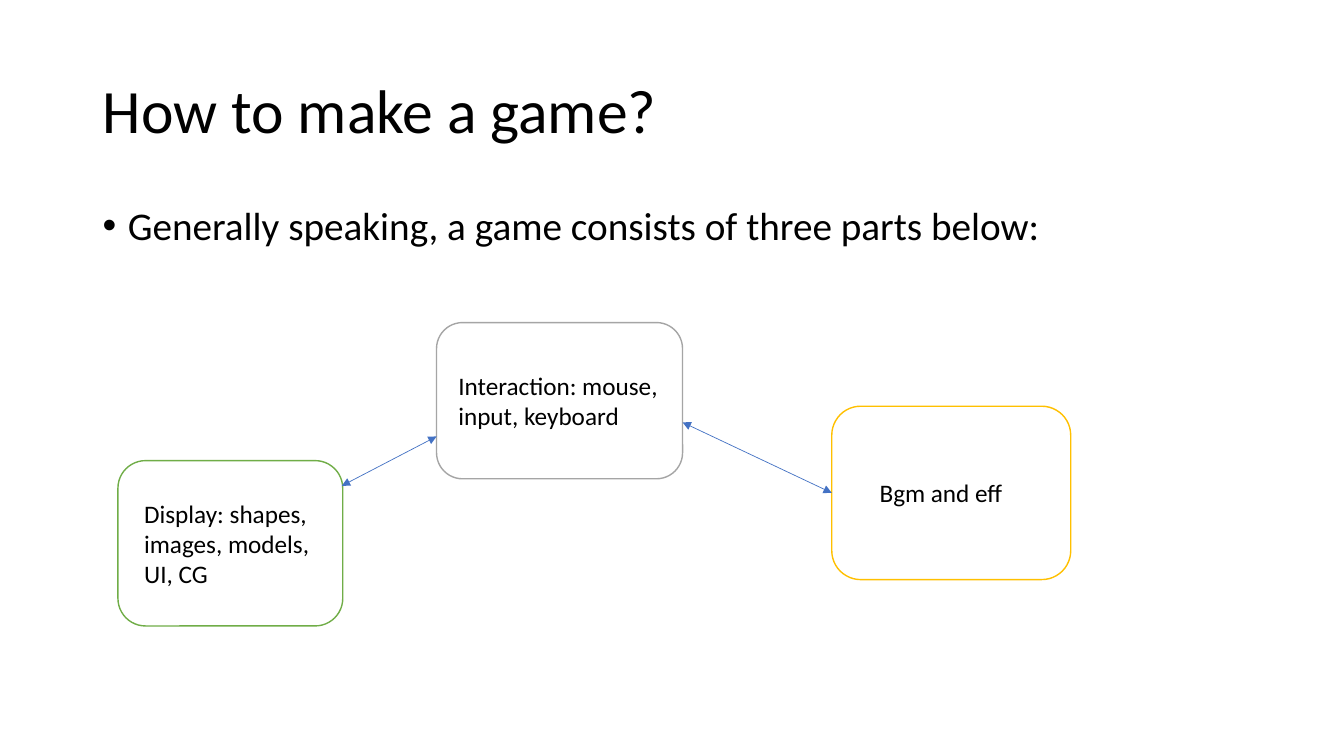
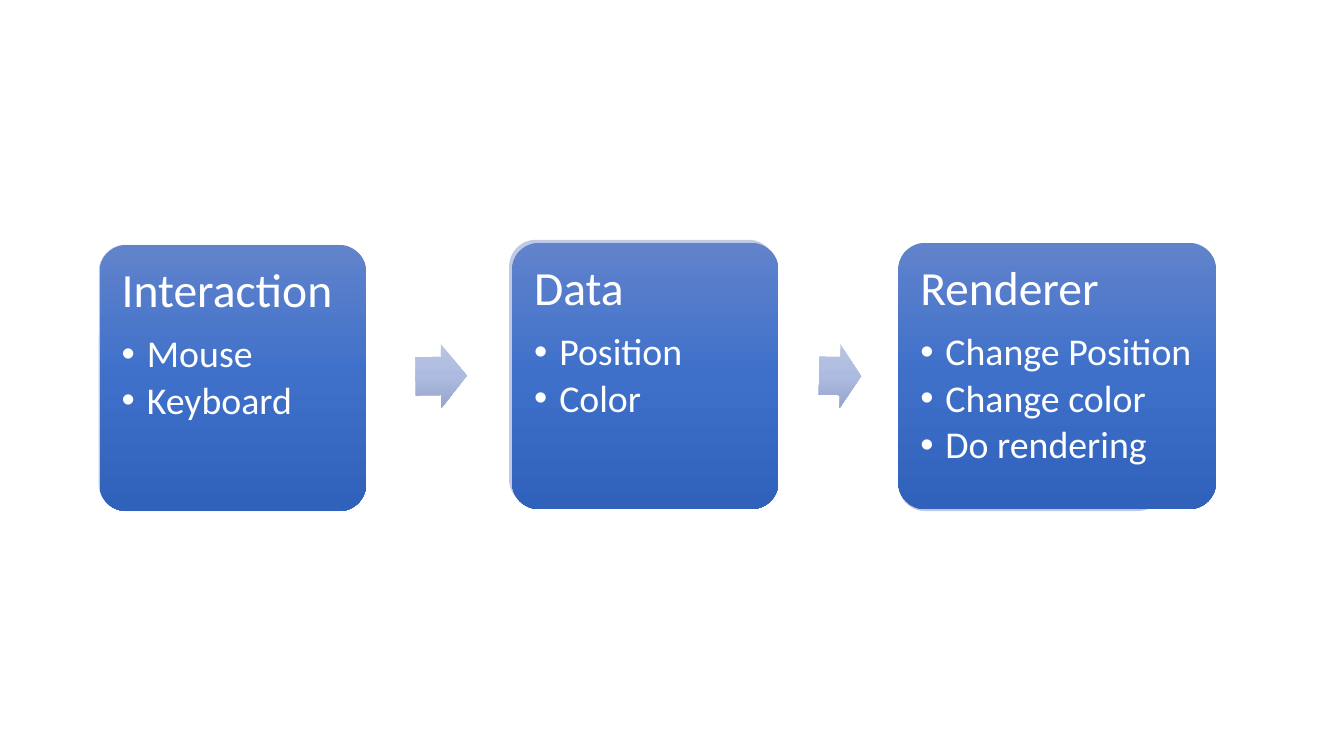
from lxml import etree
from pptx import Presentation
from pptx.dml.color import RGBColor
from pptx.enum.shapes import MSO_CONNECTOR, MSO_SHAPE
from pptx.enum.text import MSO_ANCHOR, MSO_AUTO_SIZE, PP_ALIGN
from pptx.oxml.ns import qn
from pptx.util import Inches, Pt

ROUNDED, ARROW = MSO_SHAPE.ROUNDED_RECTANGLE, MSO_SHAPE.RIGHT_ARROW
STRAIGHT = MSO_CONNECTOR.STRAIGHT
TOP, MIDDLE = MSO_ANCHOR.TOP, MSO_ANCHOR.MIDDLE
LEFT, NO_AUTOFIT = PP_ALIGN.LEFT, MSO_AUTO_SIZE.NONE
TITLE_ONLY, BLANK = 5, 6
LEFT_SIDE = 1

SLIDE_W, SLIDE_H = 13.33, 7.5
FONT = "Calibri"
BLACK, WHITE, BLUE = "000000", "FFFFFF", "4472C4"
GREEN, GREY, GOLD = "70AD47", "A5A5A5", "FFC000"
CARD_BACK = "C1C9E4"
CARD_SHADES = ("6183CB", "3E70CA", "3062BB")
ARROW_SHADES = ("BBC5E3", "AEBBE0", "98A4CB")


def rgb(hex_colour):
    return RGBColor.from_string(hex_colour)


def inches(*lengths):
    return [Inches(length) for length in lengths]


def set_frame(frame, insets=(0.1, 0.05, 0.1, 0.05), anchor=TOP):
    frame.word_wrap = True
    frame.auto_size = NO_AUTOFIT
    frame.vertical_anchor = anchor
    (frame.margin_left, frame.margin_top,
     frame.margin_right, frame.margin_bottom) = inches(*insets)


def write(paragraph, text, size, colour, spacing=0.9, after=0, bullet=False):
    paragraph.text = text
    paragraph.alignment = LEFT
    paragraph.line_spacing = spacing
    paragraph.space_before, paragraph.space_after = Pt(0), Pt(after)
    if bullet:
        properties = paragraph._p.get_or_add_pPr()
        properties.set("marL", str(Inches(0.25)))
        properties.set("indent", str(Inches(-0.25)))
        etree.SubElement(properties, qn("a:buFont"), typeface="Arial")
        etree.SubElement(properties, qn("a:buChar"), char="•")
    for run in paragraph.runs:
        run.font.name, run.font.size = FONT, Pt(size)
        run.font.color.rgb = rgb(colour)


def add_plain(slide, preset, box, fill, line=None):
    shape = slide.shapes.add_shape(preset, *inches(*box))
    shape.shadow.inherit = False
    shape.fill.solid()
    shape.fill.fore_color.rgb = rgb(fill)
    if line:
        shape.line.color.rgb = rgb(line)
        shape.line.width = Pt(1)
    else:
        shape.line.fill.background()
    return shape


def shade(shape, colours):
    """Fill from top to bottom with evenly spaced colours."""
    shape.fill.gradient()
    gradient = shape._element.spPr.find(qn("a:gradFill"))
    for child in list(gradient):
        gradient.remove(child)
    stops = etree.SubElement(gradient, qn("a:gsLst"))
    for i, colour in enumerate(colours):
        position = 100000 * i // (len(colours) - 1)
        stop = etree.SubElement(stops, qn("a:gs"), pos=str(position))
        etree.SubElement(stop, qn("a:srgbClr"), val=colour)
    etree.SubElement(gradient, qn("a:lin"), ang="5400000", scaled="0")


def add_title(slide, box, text):
    title = slide.shapes.title
    title.left, title.top, title.width, title.height = inches(*box)
    set_frame(title.text_frame, anchor=MIDDLE)
    write(title.text_frame.paragraphs[0], text, 44, BLACK)


def add_lead(slide, box, text):
    lead = slide.shapes.add_textbox(*inches(*box))
    set_frame(lead.text_frame)
    write(lead.text_frame.paragraphs[0], text, 28, BLACK, bullet=True)


def add_part(slide, box, text, outline, left_inset, right_inset):
    part = add_plain(slide, ROUNDED, box, WHITE, outline)
    set_frame(part.text_frame, (left_inset, 0.05, right_inset, 0.05), MIDDLE)
    write(part.text_frame.paragraphs[0], text, 18, BLACK, spacing=1)
    return part


def add_double_arrow(slide, start, end):
    link = slide.shapes.add_connector(STRAIGHT, *inches(*start, *end))
    link.line.color.rgb = rgb(BLUE)
    link.line.width = Pt(0.5)
    outline = link.line._get_or_add_ln()
    for tag in ("a:headEnd", "a:tailEnd"):
        etree.SubElement(outline, qn(tag), type="triangle")
    etree.SubElement(link._element.spPr, qn("a:effectLst"))
    return link


def add_card(slide, box, back_shift, heading, items):
    """Draw a shaded card with a pale square peeking out behind it."""
    left, top, width, height = box
    shift_x, shift_y = back_shift
    back = add_plain(slide, ROUNDED,
                     (left + shift_x, top + shift_y, height, height), CARD_BACK)
    card = add_plain(slide, ROUNDED, box, CARD_BACK)
    shade(card, CARD_SHADES)
    for layer in (back, card):
        layer.adjustments[0] = 0.1
    frame = card.text_frame
    set_frame(frame, (0.14,) * 4)
    write(frame.paragraphs[0], heading, 34, WHITE, after=12)
    for item in items:
        write(frame.add_paragraph(), item, 27, WHITE, after=4, bullet=True)


def add_flow_arrow(slide, gap, turn):
    """Draw an arrow in the middle third of the gap between two cards."""
    left, middle, width = gap
    height = 0.63
    arrow = add_plain(slide, ARROW, (left + 0.34 * width, middle - height / 2,
                                     0.35 * width, height), ARROW_SHADES[1])
    shade(arrow, ARROW_SHADES)
    arrow.adjustments[0], arrow.adjustments[1] = 0.6, 0.5
    arrow.rotation = turn


def build_game_parts(deck):
    slide = deck.slides.add_slide(deck.slide_layouts[TITLE_ONLY])
    margin = 0.92
    content_w = SLIDE_W - 2 * margin
    add_title(slide, (margin, 0.4, content_w, 1.45), "How to make a game?")
    add_lead(slide, (margin, 2, content_w, 0.86),
             "Generally speaking, a game consists of three parts below:")

    # Three parts of a game
    sound = add_part(slide, (8.25, 4.03, 2.37, 1.72), "Bgm and eff",
                     GOLD, 0.39, 0.1)
    add_part(slide, (4.33, 3.2, 2.44, 1.55),
             "Interaction: mouse, input, keyboard", GREY, 0.14, 0.02)
    add_part(slide, (1.17, 4.57, 2.23, 1.64),
             "Display: shapes, images, models, UI, CG", GREEN, 0.18, 0.18)

    # Links between the parts
    add_double_arrow(slide, (3.39, 4.82), (4.33, 4.33))
    to_sound = add_double_arrow(slide, (6.77, 4.19), (8.25, 4.89))
    to_sound.end_connect(sound, LEFT_SIDE)


def build_data_flow(deck):
    slide = deck.slides.add_slide(deck.slide_layouts[BLANK])
    side = 2.64
    # Left, top, width, shift of the back square, heading, items
    stages = [
        (0.99, 2.43, side, (-0.01, 0), "Interaction", ["Mouse", "Keyboard"]),
        (5.08, 2.41, side, (-0.03, -0.03), "Data", ["Position", "Color"]),
        (8.91, 2.41, 3.15, (0, 0.02), "Renderer",
         ["Change Position", "Change color", "Do rendering"]),
    ]
    for left, top, width, back_shift, heading, items in stages:
        add_card(slide, (left, top, width, side), back_shift, heading, items)

    # Arrows in the gaps
    for stage, following, turn in zip(stages, stages[1:], (359.3, 0.7)):
        right = stage[0] + stage[2]
        add_flow_arrow(slide, (right, 3.73, following[0] - right), turn)


def main():
    deck = Presentation()
    deck.slide_width, deck.slide_height = inches(SLIDE_W, SLIDE_H)
    build_game_parts(deck)
    build_data_flow(deck)
    deck.save("out.pptx")


if __name__ == "__main__":
    main()
